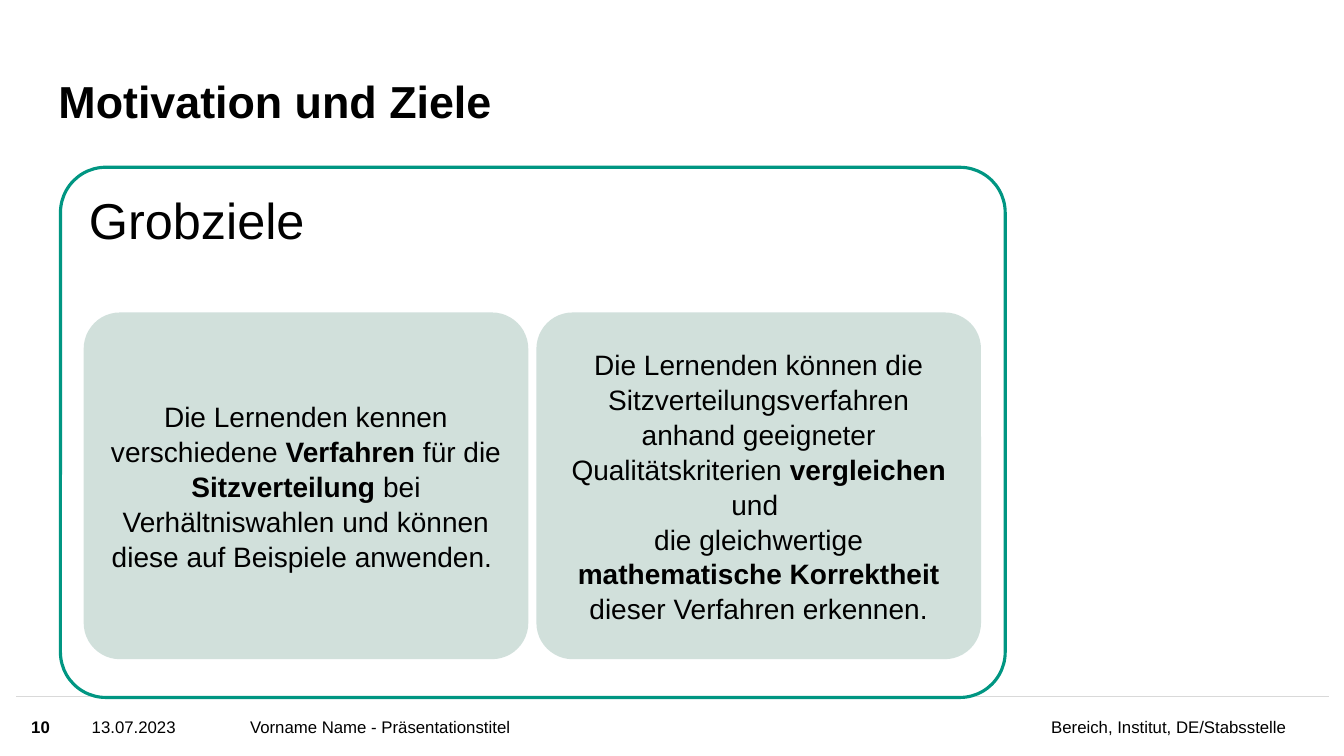
from dataclasses import dataclass

from lxml.etree import SubElement
from pptx import Presentation
from pptx.dml.color import RGBColor
from pptx.enum.shapes import MSO_CONNECTOR, MSO_SHAPE
from pptx.enum.text import MSO_ANCHOR, PP_ALIGN
from pptx.oxml.ns import qn
from pptx.util import Inches, Pt


@dataclass(frozen=True)
class Theme:
    font: str = "Arial"
    text: RGBColor = RGBColor(0x00, 0x00, 0x00)
    paper: RGBColor = RGBColor(0xFF, 0xFF, 0xFF)
    accent: RGBColor = RGBColor(0x00, 0x96, 0x82)
    card: RGBColor = RGBColor(0xCC, 0xDD, 0xD8)
    rule: RGBColor = RGBColor(0xD9, 0xD9, 0xD9)
    footer_size: int = 12
    card_size: int = 20
    title_size: int = 32
    heading_size: int = 36


THEME = Theme()

CARD_TOP, CARD_WIDTH, CARD_HEIGHT, CARD_GAP = 3.1, 4.41, 3.44, 0.08
FIRST_CARD_LEFT = 0.83

# Each goal is a list of (text, bold) runs; "\n" is a line break.
GOALS = [
    [
        ("Die Lernenden kennen verschiedene ", False),
        ("Verfahren ", True),
        ("für die ", False),
        ("Sitzverteilung", True),
        (" bei Verhältniswahlen und können diese auf Beispiele anwenden. ", False),
    ],
    [
        ("Die Lernenden können die Sitzverteilungsverfahren anhand geeigneter "
         "Qualitätskriterien ", False),
        ("vergleichen", True),
        (" und ", False),
        ("\n", False),
        ("die gleichwertige ", False),
        ("mathematische Korrektheit ", True),
        ("dieser Verfahren erkennen.", False),
    ],
]


def set_frame(tf, anchor, margins=(0, 0, 0, 0)):
    tf.word_wrap = True
    tf.vertical_anchor = anchor
    tf.margin_left, tf.margin_top, tf.margin_right, tf.margin_bottom = map(Inches, margins)


def style_paragraph(p, size, align=PP_ALIGN.LEFT, spacing=None, bold=None):
    p.alignment = align
    p.line_spacing = spacing
    p.font.name = THEME.font
    p.font.size = Pt(size)
    p.font.color.rgb = THEME.text
    p.font.bold = bold


def add_label(slide, text, box, size, anchor=MSO_ANCHOR.MIDDLE, **style):
    sp = slide.shapes.add_textbox(*map(Inches, box))
    set_frame(sp.text_frame, anchor)
    p = sp.text_frame.paragraphs[0]
    p.text = text
    style_paragraph(p, size, **style)


def add_rounded(slide, box, radius, fill):
    sp = slide.shapes.add_shape(MSO_SHAPE.ROUNDED_RECTANGLE, *map(Inches, box))
    sp.adjustments[0] = radius / min(box[2:])
    sp.shadow.inherit = False
    sp.fill.solid()
    sp.fill.fore_color.rgb = fill
    return sp


def set_opacity(sp, percent):
    color = sp.fill._xPr.find(qn("a:solidFill"))[0]
    SubElement(color, qn("a:alpha")).set("val", str(percent * 1000))


def add_goal_frame(slide, heading):
    sp = add_rounded(slide, (0.6, 1.66, 9.37, 5.26), 0.45, THEME.paper)
    sp.line.color.rgb = THEME.accent
    sp.line.width = Pt(2.25)
    set_frame(sp.text_frame, MSO_ANCHOR.TOP, (0.15, 0.15, 0.15, 3.25))
    p = sp.text_frame.paragraphs[0]
    p.text = heading
    style_paragraph(p, THEME.heading_size, spacing=0.9)


def add_goal_card(slide, left, runs):
    sp = add_rounded(slide, (left, CARD_TOP, CARD_WIDTH, CARD_HEIGHT), 0.36, THEME.card)
    set_opacity(sp, 90)
    sp.line.fill.background()
    set_frame(sp.text_frame, MSO_ANCHOR.MIDDLE, (0.16, 0.04, 0.16, 0.04))
    p = sp.text_frame.paragraphs[0]
    style_paragraph(p, THEME.card_size, PP_ALIGN.CENTER, spacing=1.04)
    for text, bold in runs:
        if text == "\n":
            p.add_line_break()
            continue
        r = p.add_run()
        r.text = text
        if bold:
            r.font.bold = True


def add_rule(slide, left, right, y):
    line = slide.shapes.add_connector(
        MSO_CONNECTOR.STRAIGHT, Inches(left), Inches(y), Inches(right), Inches(y))
    line.line.color.rgb = THEME.rule
    line.line.width = Pt(1)
    SubElement(line._element.spPr, qn("a:effectLst"))


def add_footer(slide):
    size = THEME.footer_size
    add_rule(slide, 0.16, 13.18, 6.91)
    add_label(slide, "10", (0.31, 6.92, 0.48, 0.58), size, bold=True)
    add_label(slide, "13.07.2023", (0.91, 6.92, 1.5, 0.58), size)
    add_label(slide, "Vorname Name - Präsentationstitel", (2.48, 6.92, 5.37, 0.58), size)
    add_label(slide, "Bereich, Institut, DE/Stabsstelle", (8.03, 6.92, 4.73, 0.58), size,
              align=PP_ALIGN.RIGHT)


def main():
    prs = Presentation()
    prs.slide_width, prs.slide_height = Inches(13.33), Inches(7.5)
    slide = prs.slides.add_slide(prs.slide_layouts[6])

    add_footer(slide)
    add_label(slide, "Motivation und Ziele", (0.58, 0.43, 10.02, 0.84), THEME.title_size,
              anchor=MSO_ANCHOR.BOTTOM, spacing=0.9, bold=True)
    add_goal_frame(slide, "Grobziele")
    for i, runs in enumerate(GOALS):
        add_goal_card(slide, FIRST_CARD_LEFT + i * (CARD_WIDTH + CARD_GAP), runs)

    prs.save("out.pptx")


if __name__ == "__main__":
    main()
